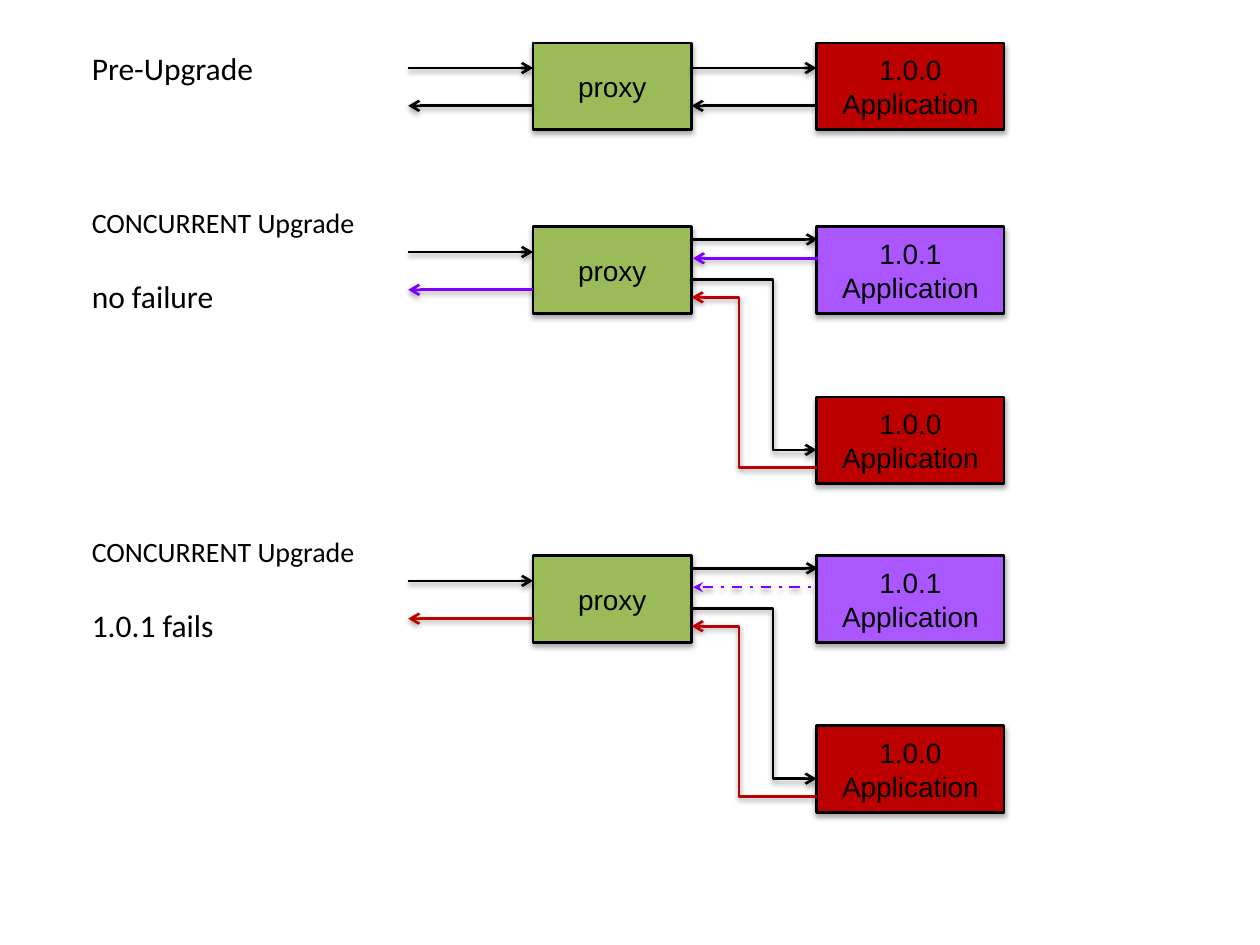
from lxml.etree import SubElement
from pptx import Presentation
from pptx.dml.color import RGBColor
from pptx.enum.dml import MSO_LINE
from pptx.enum.shapes import MSO_CONNECTOR, MSO_SHAPE
from pptx.enum.text import MSO_ANCHOR, PP_ALIGN
from pptx.oxml.ns import qn
from pptx.util import Inches, Pt

BLACK, GREEN, RED = "000000", "9BBB59", "BC0000"
LILAC, VIOLET = "AB57FF", "8000FF"
CLIENT_X, PROXY_X, PROXY_END, APP_X = 3.24, 4.23, 5.49, 6.48
PROXY_WIDTH, APP_WIDTH, BOX_HEIGHT = 1.26, 1.49, 0.69
REQUEST_Y, RESPONSE_Y = 0.2, 0.5
APP_STEP = 1.35


def color(hex_value):
    """Turn a hex string into a colour."""
    return RGBColor.from_string(hex_value)


def add_shadow(effects, distance, opacity):
    """Fill an effect list with a soft shadow falling straight down."""
    shadow = SubElement(effects, qn("a:outerShdw"), blurRad="40000", dist=str(distance),
                        dir="5400000", rotWithShape="0")
    black = SubElement(shadow, qn("a:srgbClr"), val=BLACK)
    SubElement(black, qn("a:alpha"), val=str(opacity * 1000))


def add_run(paragraph, text, size, font):
    """Add one black run to a paragraph."""
    run = paragraph.add_run()
    run.text = text
    run.font.size, run.font.name = Pt(size), font
    run.font.color.rgb = color(BLACK)


def add_label(slide, left, top, width, height, lines):
    """Write the scenario name, with a line's gap between its parts."""
    label = slide.shapes.add_textbox(Inches(left), Inches(top), Inches(width), Inches(height))
    frame = label.text_frame
    frame.word_wrap = True
    for index, (text, size) in enumerate(lines):
        paragraph = frame.add_paragraph() if index else frame.paragraphs[0]
        if index:
            paragraph.space_before = Pt(22)
        add_run(paragraph, text, size, "Calibri")


def add_box(slide, left, top, width, text, fill):
    """Draw a proxy or application box."""
    box = slide.shapes.add_shape(MSO_SHAPE.RECTANGLE, Inches(left), Inches(top),
                                 Inches(width), Inches(BOX_HEIGHT))
    box.fill.solid()
    box.fill.fore_color.rgb = color(fill)
    box.line.color.rgb = color(BLACK)
    box.line.width = Pt(1.5)
    box.shadow.inherit = False
    add_shadow(box._element.spPr.find(qn("a:effectLst")), 23000, 35)
    frame = box.text_frame
    frame.word_wrap = True
    frame.vertical_anchor = MSO_ANCHOR.MIDDLE
    frame.paragraphs[0].alignment = PP_ALIGN.CENTER
    add_run(frame.paragraphs[0], text, 16, "Arial")


def add_flow(slide, left, right, top, hue=BLACK, back=False, drop=0, bend=0, failed=False):
    """Draw a request, or a response if back, bending down to a lower box."""
    kind = MSO_CONNECTOR.ELBOW if drop else MSO_CONNECTOR.STRAIGHT
    flow = slide.shapes.add_connector(kind, Inches(left), Inches(top),
                                      Inches(right), Inches(top + drop))
    flow.line.color.rgb = color(hue)
    flow.line.width = Pt(1.5)
    if failed:
        flow.line.dash_style = MSO_LINE.DASH_DOT
    properties = flow._element.spPr
    SubElement(properties.find(qn("a:ln")), qn("a:headEnd" if back else "a:tailEnd"),
               type="stealth" if failed else "arrow")
    if drop:
        guides = properties.find(qn("a:prstGeom")).get_or_add_avLst()
        SubElement(guides, qn("a:gd"), name="adj1", fmla=f"val {round(bend * 100000)}")
    add_shadow(SubElement(properties, qn("a:effectLst")), 20000, 38)


def add_proxy(slide, top, response_hue):
    """Draw the proxy with its client request and response."""
    add_box(slide, PROXY_X, top, PROXY_WIDTH, "proxy", GREEN)
    add_flow(slide, CLIENT_X, PROXY_X, top + REQUEST_Y)
    add_flow(slide, CLIENT_X, PROXY_X, top + RESPONSE_Y, response_hue, back=True)


def add_single(slide, top):
    """Draw the scenario with one application version."""
    add_label(slide, 0.63, top, 2.42, 0.4, [("Pre-Upgrade", 18)])
    add_proxy(slide, top, BLACK)
    add_box(slide, APP_X, top, APP_WIDTH, "1.0.0 Application", RED)
    add_flow(slide, PROXY_END, APP_X, top + REQUEST_Y)
    add_flow(slide, PROXY_END, APP_X, top + RESPONSE_Y, back=True)


def add_concurrent(slide, top, outcome, response_hue, failed):
    """Draw the scenario with both application versions running."""
    add_label(slide, 0.63, top - 0.22, 2.42, 0.98, [("CONCURRENT Upgrade", 16), (outcome, 18)])
    add_proxy(slide, top, response_hue)
    add_box(slide, APP_X, top + APP_STEP, APP_WIDTH, "1.0.0 Application", RED)
    add_box(slide, APP_X, top, APP_WIDTH, "1.0.1 Application", LILAC)
    add_flow(slide, PROXY_END, APP_X, top + 0.42, drop=APP_STEP, bend=0.65)
    add_flow(slide, PROXY_END, APP_X, top + 0.56, RED, back=True, drop=APP_STEP, bend=0.38)
    add_flow(slide, PROXY_END + 0.01, APP_X + 0.01, top + 0.1)
    add_flow(slide, PROXY_END + 0.01, APP_X + 0.01, top + 0.25, VIOLET, back=True, failed=failed)


def main():
    """Build the upgrade slide."""
    deck = Presentation()
    deck.slide_width, deck.slide_height = Inches(10), Inches(7.5)
    slide = deck.slides.add_slide(deck.slide_layouts[6])
    add_single(slide, 0.34)
    add_concurrent(slide, 1.8, "no failure", VIOLET, failed=False)
    add_concurrent(slide, 4.41, "1.0.1 fails", RED, failed=True)
    deck.save("out.pptx")


if __name__ == "__main__":
    main()
